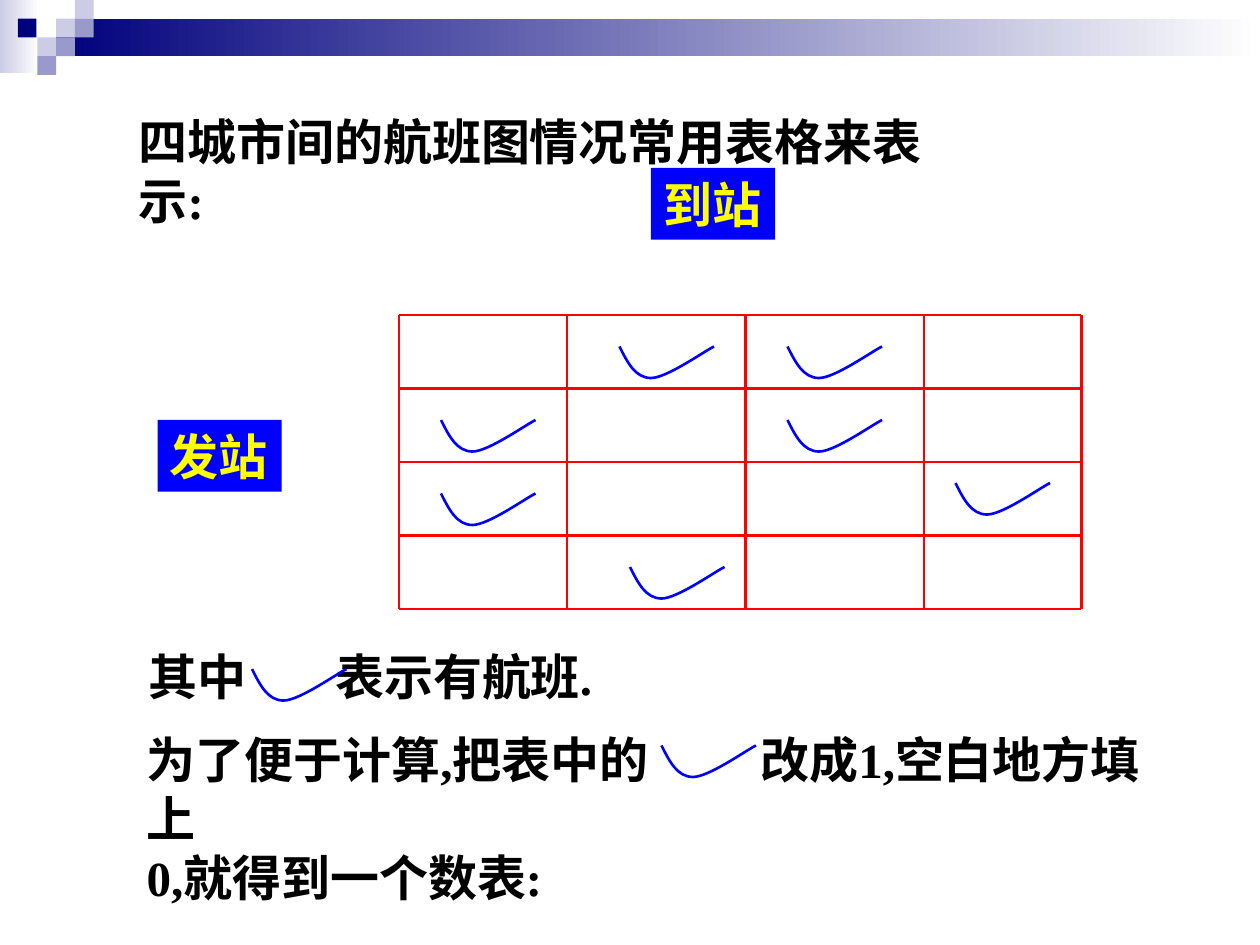
from lxml import etree
from pptx import Presentation
from pptx import util as u
from pptx.dml.color import RGBColor
from pptx.enum import shapes, text
from pptx.oxml import ns

Pt = u.Pt
COLORS = {"navy": "00007D", "pale": "CCCCE6", "mid": "9999CC", "white": "FFFFFF",
          "ink": "000000", "tag": "0000FF", "tag_text": "FFFF00",
          "grid": "FF0000", "check": "0000FF"}
FONT = {"name": "Times New Roman", "size": Pt(28), "bold": True}
FRAME = {"word_wrap": True, "auto_size": text.MSO_AUTO_SIZE.NONE,
         "vertical_anchor": text.MSO_ANCHOR.TOP}
CHECK = [(0, 0), (4.5, 9), (9, 18), (18, 18), (27, 18), (48, 3), (54, 0)]


def rgb(name):
    """Return the named colour."""
    return RGBColor.from_string(COLORS[name])


def apply(obj, values):
    """Set attributes from a dict of format values."""
    for key, value in values.items():
        setattr(obj, key, value)


def write(sp, lines, color="ink", tab=None, wrap=True):
    """Fill a shape with bold left-aligned lines, with an optional tab stop."""
    tf = sp.text_frame
    apply(tf, {**FRAME, "word_wrap": wrap})
    for i, line in enumerate(lines):
        p = tf.add_paragraph() if i else tf.paragraphs[0]
        p.alignment = text.PP_ALIGN.LEFT
        if tab and "\t" in line:
            tabs = etree.SubElement(p._p.get_or_add_pPr(), ns.qn("a:tabLst"))
            etree.SubElement(tabs, ns.qn("a:tab"), pos=str(Pt(tab)), algn="l")
        r = p.add_run()
        r.text = line
        apply(r.font, FONT)
        r.font.color.rgb = rgb(color)


def add_rect(s, box, *colors):
    """Add a rectangle with a solid fill, or a gradient for two colours."""
    sp = s.shapes.add_shape(shapes.MSO_SHAPE.RECTANGLE, *map(Pt, box))
    sp.shadow.inherit = False
    sp.line.fill.background()
    if len(colors) == 1:
        sp.fill.solid()
        sp.fill.fore_color.rgb = rgb(colors[0])
    else:
        sp.fill.gradient()
        sp.fill.gradient_angle = 0
        for i, (stop, color) in enumerate(zip(sp.fill.gradient_stops, colors)):
            stop.position = i
            stop.color.rgb = rgb(color)
    return sp


def add_banner(s, box):
    """Draw the gradient bar and its mosaic of squares."""
    x, y, w, h = box
    side = h / 4
    add_rect(s, (x, y, 22.3, 41.8), "pale", "white")
    add_rect(s, (x + 3 * side, y + side, w - 3 * side, 2 * side), "navy", "white")
    for col, row, color in [(3, 1, "pale"), (4, 0, "pale"), (4, 1, "mid"),
                            (2, 2, "pale"), (0.95, 1, "navy"), (3, 2, "mid"),
                            (2, 3, "mid")]:
        add_rect(s, (x + col * side, y + row * side, side, side), color)


def add_title(s, box, title):
    """Place the title placeholder."""
    sp = s.shapes.title
    apply(sp, dict(zip(("left", "top", "width", "height"), map(Pt, box))))
    write(sp, [title])


def add_tag(s, box, label):
    """Add a filled label for one axis of the flight grid."""
    write(add_rect(s, box, "tag"), [label], "tag_text", wrap=False)


def add_check(s, x, y):
    """Draw a check mark of two Bezier curves with its top left at x, y."""
    points = [(Pt(x + dx), Pt(y + dy)) for dx, dy in CHECK]
    fb = s.shapes.build_freeform(*points[0], scale=1.0)
    fb.add_line_segments(points[1:], close=False)
    sp = fb.convert_to_shape()
    segments = list(sp._element.iter(ns.qn("a:lnTo")))
    outline = segments[0].getparent()
    for i in range(0, len(segments), 3):
        curve = etree.SubElement(outline, ns.qn("a:cubicBezTo"))
        for segment in segments[i:i + 3]:
            curve.append(segment[0])
            outline.remove(segment)
    sp.shadow.inherit = False
    sp.fill.background()
    sp.line.color.rgb = rgb("check")
    sp.line.width = Pt(1.5)


def add_grid(s, box, columns, rows, checks):
    """Draw the ruled flight grid and the check marks inside it."""
    x, y, w, h = box
    lines = [(x, y + h * i / rows, x + w, y + h * i / rows) for i in range(rows + 1)]
    lines += [(x + c, y, x + c, y + h) for c in columns]
    for ends in lines:
        ln = s.shapes.add_connector(shapes.MSO_CONNECTOR.STRAIGHT, *map(Pt, ends))
        ln.line.color.rgb = rgb("grid")
        ln.line.width = Pt(1.5)
        etree.SubElement(ln._element.spPr, ns.qn("a:effectLst"))
    for dx, dy in checks:
        add_check(s, x + dx, y + dy)


def add_note(s, box, lines, tab, check):
    """Add text with a check mark in the gap before its tab stop."""
    x, y, w, h = box
    write(s.shapes.add_textbox(*map(Pt, box)), lines, tab=tab)
    add_check(s, x + check[0], y + check[1])


def main():
    """Build the slide and save it."""
    prs = Presentation()
    prs.slide_width, prs.slide_height = Pt(720), Pt(540)
    s = prs.slides.add_slide(prs.slide_layouts[5])
    add_banner(s, (0, 0, 720, 42.8))
    add_title(s, (72, 60, 486, 41), "四城市间的航班图情况常用表格来表示:")
    add_tag(s, (90, 240, 71, 41), "发站")
    add_tag(s, (372, 96, 71, 41), "到站")
    add_grid(s, (228, 180, 390, 168), (0, 96, 198, 300, 390), 4,
             [(126, 18), (222, 18), (24, 60), (222, 60), (24, 102),
              (318, 96), (132, 144)])
    add_note(s, (78, 366, 275, 41), ["其中\t表示有航班."], 106.5, (66, 16.3))
    add_note(s, (76.8, 413.5, 606, 74),
             ["为了便于计算,把表中的\t改成1,空白地方填上", "0,就得到一个数表:"],
             350.7, (301.2, 12.5))
    prs.save("out.pptx")


if __name__ == "__main__":
    main()
